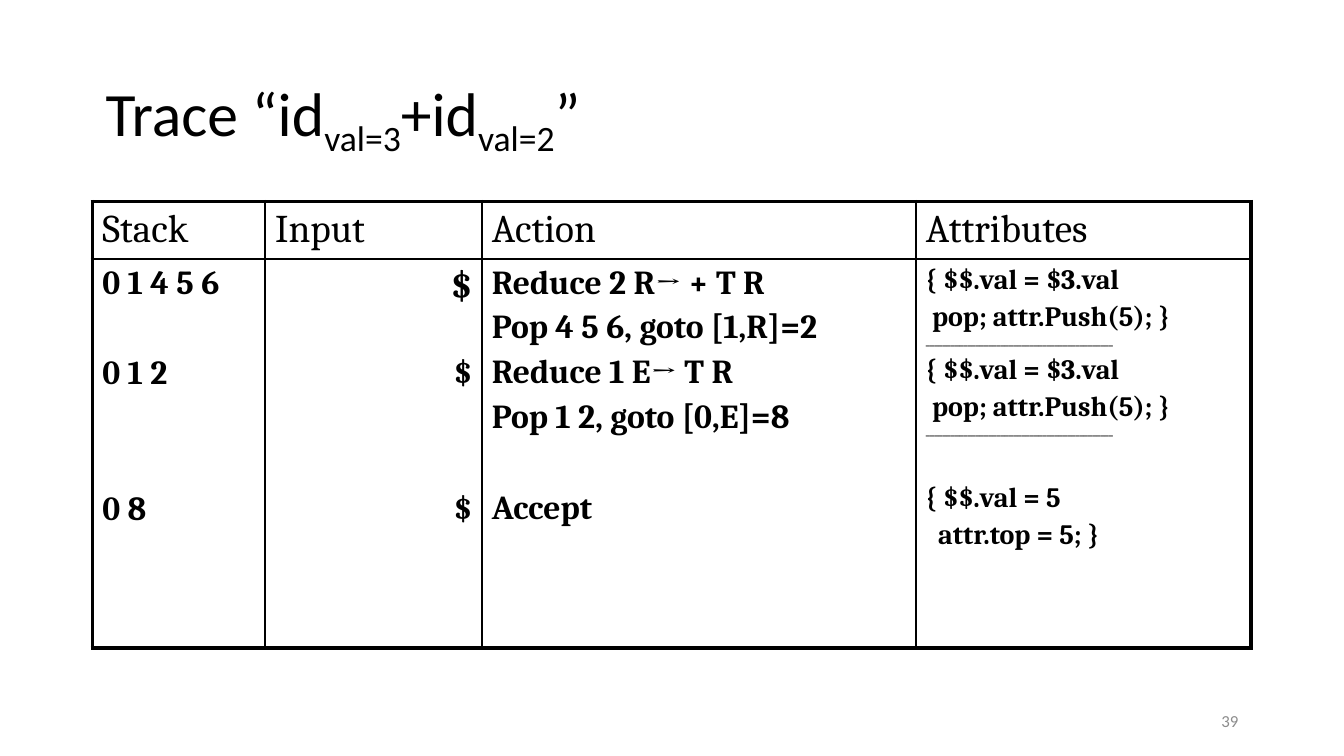
from lxml.etree import SubElement
from pptx import Presentation
from pptx.dml.color import RGBColor as RGB
from pptx.enum.text import MSO_ANCHOR as ANCHOR, PP_ALIGN as ALIGN
from pptx.oxml.ns import qn
from pptx.util import Pt

COLORS = {"ink": "000000", "muted": "8C8C8C"}
LINE, GAP = 1.17, 0.185  # line height and paragraph gap, per point of text size
RULE = "_" * 45


class Slide:
    title_font, table_font = "Calibri", "Cambria"
    thick, thin = 2.25, 1

    def __init__(self, prs):
        self.s = prs.slides.add_slide(prs.slide_layouts[6])

    def run(self, p, text, size, font, color="ink", bold=False, baseline=0):
        r = p.add_run()
        r.text = text
        r.font.name, r.font.size, r.font.bold = font, Pt(size), bold
        r.font.color.rgb = RGB.from_string(COLORS[color])
        if baseline:
            r._r.get_or_add_rPr().set("baseline", str(baseline * 1000))

    def text(self, box, runs, size, color="ink", align=ALIGN.LEFT, spacing=1.0):
        """Add a one-paragraph box; runs are (text, baseline percent)."""
        tf = self.s.shapes.add_textbox(*map(Pt, box)).text_frame
        tf.word_wrap, tf.vertical_anchor = True, ANCHOR.MIDDLE
        p = tf.paragraphs[0]
        p.alignment, p.line_spacing = align, spacing
        for text, baseline in runs:
            self.run(p, text, size, self.title_font, color, baseline=baseline)

    def border(self, cell, side, width):
        ln = SubElement(cell._tc.get_or_add_tcPr(), qn(f"a:ln{side}"), w=str(Pt(width)))
        fill = SubElement(ln, qn("a:solidFill"))
        SubElement(fill, qn("a:srgbClr"), val=COLORS["ink"])

    def fill_cell(self, cell, lines, bold, align):
        """Write lines of (text, size, lines skipped above)."""
        cell.margin_left = cell.margin_right = Pt(5.4)
        cell.margin_top = cell.margin_bottom = Pt(2.7)
        tf = cell.text_frame
        for i, (text, size, skip) in enumerate(lines):
            p = tf.add_paragraph() if i else tf.paragraphs[0]
            p.alignment = align
            if i:
                p.space_before = Pt(round(size * (GAP + skip * (LINE + GAP)), 1))
            self.run(p, text, size, self.table_font, bold=bold)

    def table(self, left, top, widths, heights, rows, aligns):
        n_rows, n_cols = len(heights), len(widths)
        t = self.s.shapes.add_table(n_rows, n_cols, Pt(left), Pt(top),
                                    Pt(sum(widths)), Pt(sum(heights))).table
        t.first_row = t.horz_banding = False
        for col, width in zip(t.columns, widths):
            col.width = Pt(width)
        for row, height in zip(t.rows, heights):
            row.height = Pt(height)
        for i, row in enumerate(rows):
            for j, lines in enumerate(row):
                cell = t.cell(i, j)
                self.fill_cell(cell, lines, i > 0, aligns[j] if i else ALIGN.LEFT)
                outer = {"L": j == 0, "R": j == n_cols - 1,
                         "T": i == 0, "B": i == n_rows - 1}
                for side, is_outer in outer.items():
                    self.border(cell, side, self.thick if is_outer else self.thin)
                cell.fill.background()


prs = Presentation()
prs.slide_width, prs.slide_height = Pt(720), Pt(405)
slide = Slide(prs)

# Title
slide.text((49.5, 21.6, 621, 78.5),
           [("Trace “id", 0), ("val=3", -25), ("+id", 0), ("val=2", -25), ("”", 0)],
           33, spacing=0.9)

# Trace table
header = [[(name, 21, 0)] for name in ("Stack", "Input", "Action", "Attributes")]
stack = [("0 1 4 5 6", 18, 0), ("0 1 2", 18, 1), ("0 8", 18, 2)]
# The first $ is taller, so slightly less than a full line is skipped below it
inputs = [("$", 21, 0), ("$", 18, 0.86), ("$", 18, 2)]
action = [("Reduce 2 R→ + T R", 18, 0), ("Pop 4 5 6, goto [1,R]=2", 18, 0),
          ("Reduce 1 E→ T R", 18, 0), ("Pop 1 2, goto [0,E]=8", 18, 0),
          ("Accept", 18, 1)]
push = [("{ $$.val = $3.val", 15, 0), (" pop; attr.Push(5); }", 15, 0), (RULE, 6, 0)]
attributes = push * 2 + [("{ $$.val = 5", 15, 1), ("  attr.top = 5; }", 15, 0)]
slide.table(49.5, 108, (92.5, 116.2, 232.5, 179.5), (30.3, 208.4),
            [header, [stack, inputs, action, attributes]],
            (ALIGN.LEFT, ALIGN.RIGHT, ALIGN.LEFT, ALIGN.LEFT))

# Slide number
slide.text((508.5, 375.3, 162, 21.6), [("39", 0)], 9, "muted", ALIGN.RIGHT)

prs.save("out.pptx")
